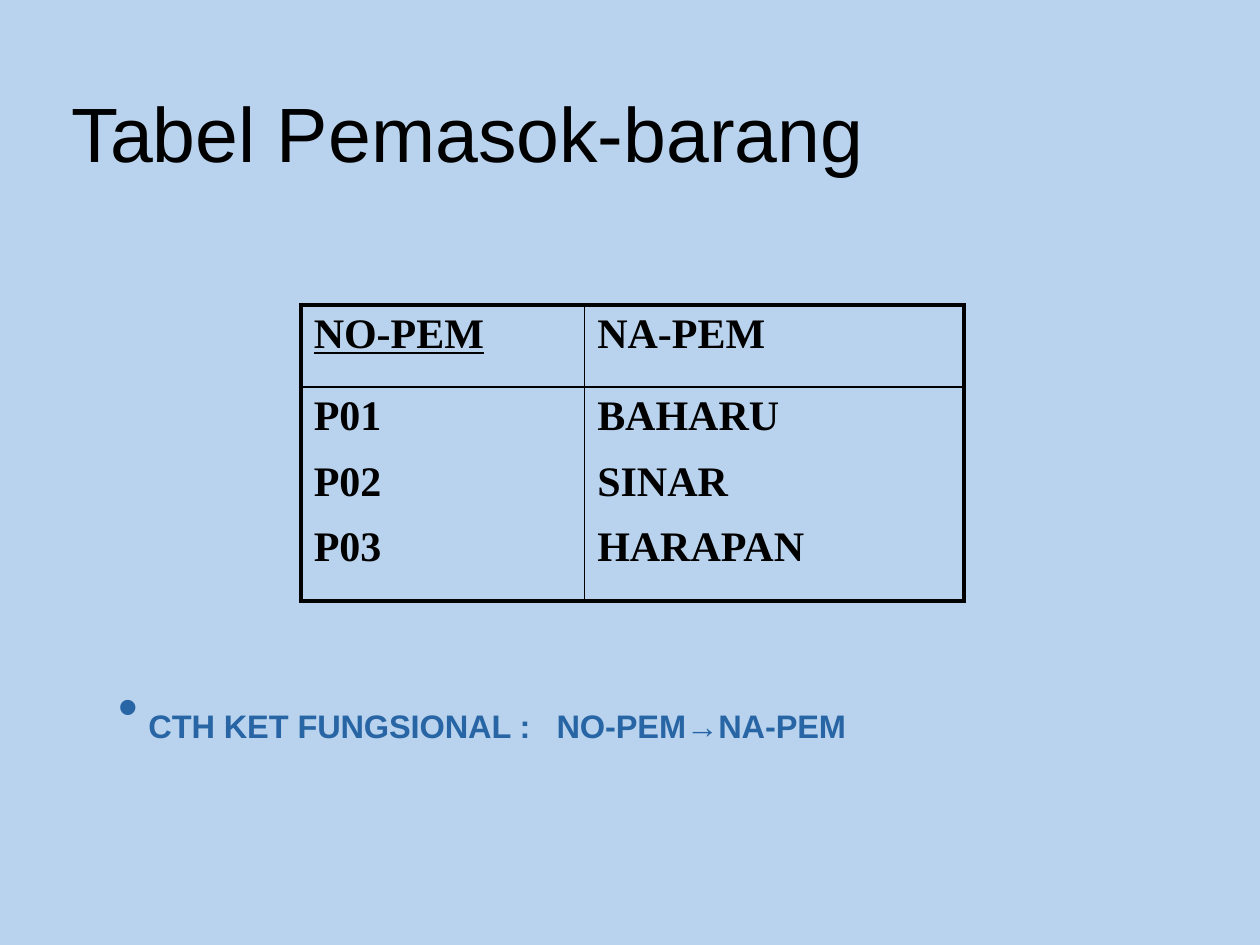
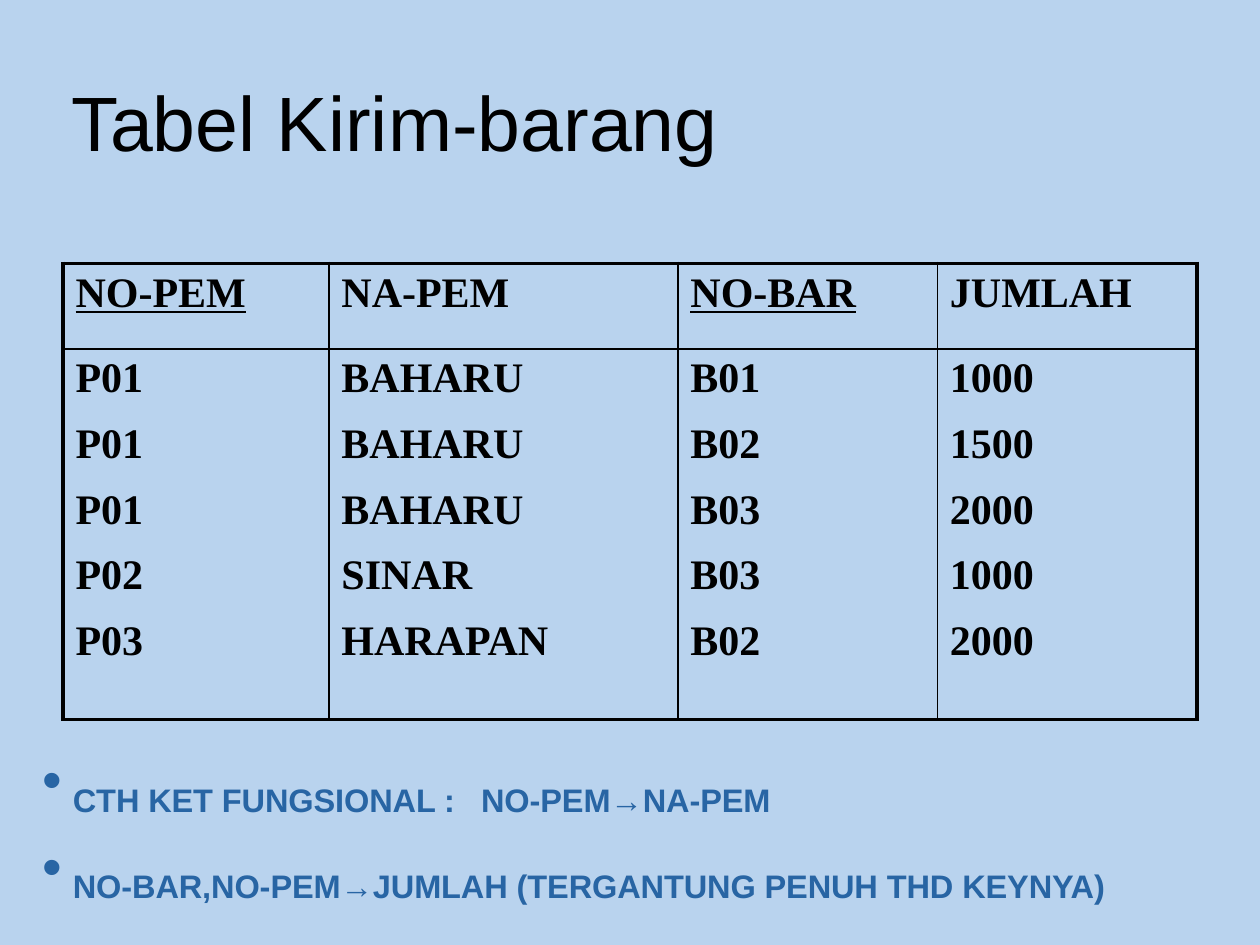
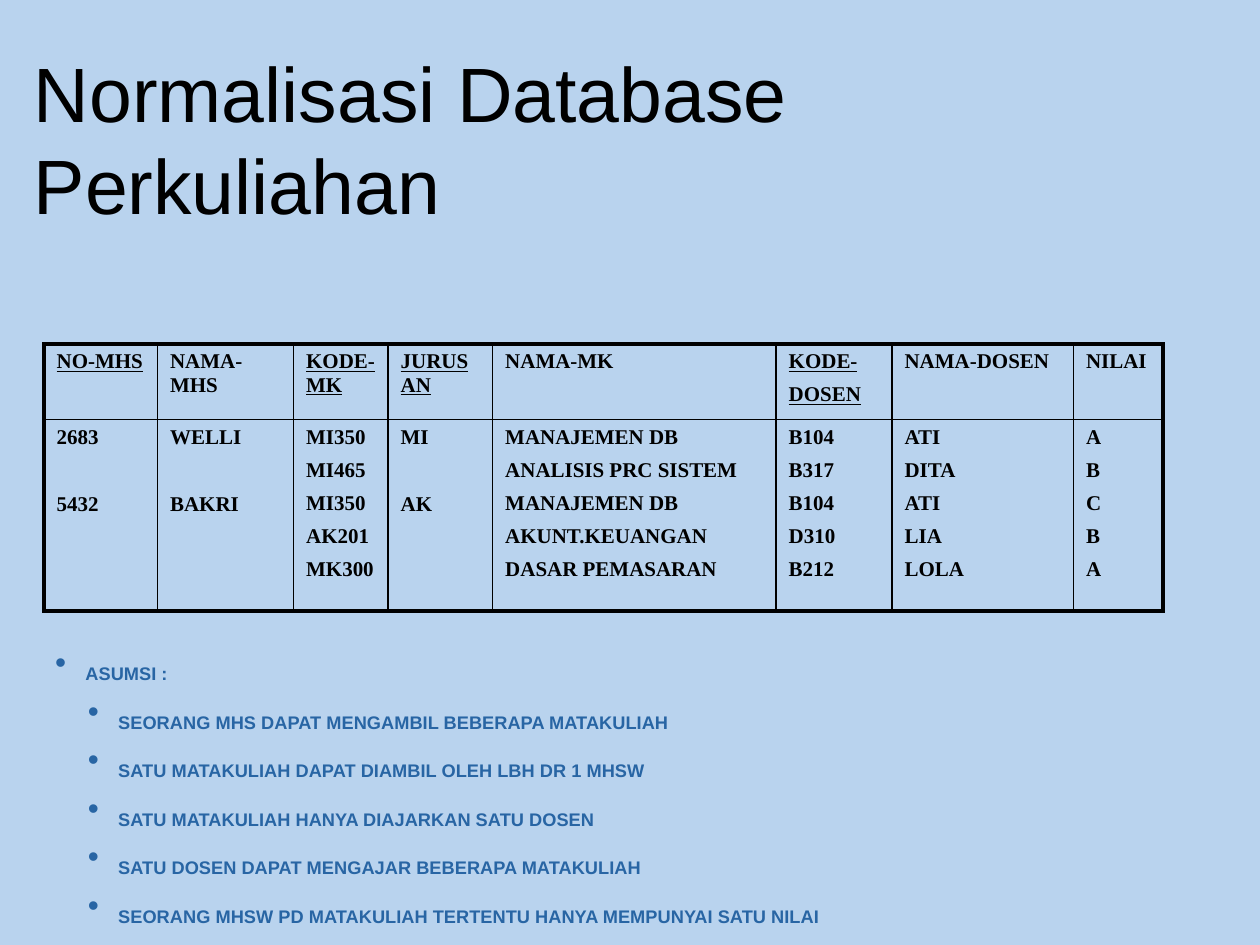
from dataclasses import dataclass

from lxml import etree
from pptx import Presentation
from pptx import util as u
from pptx.dml.color import RGBColor
from pptx.enum import text
from pptx.oxml.ns import qn


@dataclass(frozen=True)
class Theme:
    back: str = "B9D3EE"
    ink: str = "000000"
    accent: str = "2865A4"
    sans: str = "Arial"
    serif: str = "Times New Roman"
    title: int = 44
    note: int = 32
    small_note: int = 18
    cell: int = 24
    small_cell: int = 12
    outer: float = 2.25
    inner: float = 1
    cell_gap: float = 0.46   # space before, as a share of the type size
    note_gap: float = 0.18
    line: float = 1.15
    hang: float = 0.24       # bullet indents and tab, inches
    sub_indent: float = 0.5
    tab: float = 3.48


def sub(parent, tag, **attrs):
    return etree.SubElement(parent, qn(tag), {k: str(v) for k, v in attrs.items()})


class Deck:
    """Style and current slide; lengths are in a grid of 100 columns by 75 rows."""

    def __init__(self, theme):
        self.t = theme
        self.prs = Presentation()
        self.prs.slide_width, self.prs.slide_height = u.Inches(10), u.Inches(7.5)
        self.col = self.prs.slide_width / 100
        self.row = self.prs.slide_height / 75

    def box(self, x, y, w, h):
        return [round(v) for v in (x * self.col, y * self.row, w * self.col, h * self.row)]

    def font(self, p, name, size, color, bold=False, underline=False):
        f = p.font
        f.name, f.size, f.bold, f.underline = name, u.Pt(size), bold, underline
        f.color.rgb = RGBColor.from_string(color)

    def text_frame(self, *area):
        tf = self.s.shapes.add_textbox(*self.box(*area)).text_frame
        tf.word_wrap = True
        return tf

    # Slide with its background and title
    def slide(self, title, x, y, w=90, h=12.5):
        self.s = self.prs.slides.add_slide(self.prs.slide_layouts[6])
        fill = self.s.background.fill
        fill.solid()
        fill.fore_color.rgb = RGBColor.from_string(self.t.back)
        tf = self.text_frame(x, y, w, h)
        tf.vertical_anchor = text.MSO_ANCHOR.MIDDLE
        tf.text = title
        self.font(tf.paragraphs[0], self.t.sans, self.t.title, self.t.ink)

    # Two-row table: headings above, all values of a column in one cell below
    def table(self, x, y, widths, heights, columns, keys, size):
        area = self.box(x, y, sum(widths), sum(heights))
        tbl = self.s.shapes.add_table(2, len(columns), *area).table
        tbl.first_row = tbl.horz_banding = False
        for c, w in zip(tbl.columns, widths):
            c.width = round(w * self.col)
        for r, h in zip(tbl.rows, heights):
            r.height = round(h * self.row)
        last = len(columns) - 1
        for i, (head, values) in enumerate(columns.items()):
            for j, lines in enumerate((head.split("\n"), values)):
                cell = tbl.cell(j, i)
                self.cell_text(cell, lines, size, j == 0 and head in keys)
                self.borders(cell, L=i == 0, R=i == last, T=j == 0, B=j == 1)

    def cell_text(self, cell, lines, size, underline):
        # An empty value widens the space before the next one
        filled = [i for i, line in enumerate(lines) if line]
        cell.text_frame.text = "\n".join(lines[i] for i in filled)
        previous = 0
        for i, p in zip(filled, cell.text_frame.paragraphs):
            steps = i - previous
            if steps:
                gap = steps * self.t.cell_gap + (steps - 1) * self.t.line
                p.space_before = u.Pt(round(gap * size, 1))
            self.font(p, self.t.serif, size, self.t.ink, True, underline)
            previous = i

    def borders(self, cell, **outer_sides):
        tcPr = cell._tc.get_or_add_tcPr()
        for side, outer in outer_sides.items():
            width = u.Pt(self.t.outer if outer else self.t.inner)
            ln = sub(tcPr, f"a:ln{side}", w=int(width))
            sub(sub(ln, "a:solidFill"), "a:srgbClr", val=self.t.ink)
        cell.fill.background()

    # Lowered bullet lines; each is (level, text)
    def notes(self, x, y, w, h, lines, size):
        tf = self.text_frame(x, y, w, h)
        tf.text = "\n".join(line for _, line in lines)
        for i, (p, (level, line)) in enumerate(zip(tf.paragraphs, lines)):
            p.level = level
            if i:
                p.space_before = u.Pt(round(self.t.note_gap * size, 1))
            pPr = p._p.get_or_add_pPr()
            left = self.t.sub_indent if level else self.t.hang
            pPr.set("marL", str(int(u.Inches(left))))
            pPr.set("indent", str(-int(u.Inches(self.t.hang))))
            sub(sub(pPr, "a:buClr"), "a:srgbClr", val=self.t.accent)
            sub(pPr, "a:buFont", typeface=self.t.sans)
            sub(pPr, "a:buChar", char="•")
            if "\t" in line:
                sub(sub(pPr, "a:tabLst"), "a:tab", pos=int(u.Inches(self.t.tab)), algn="l")
            self.font(p, self.t.sans, size, self.t.accent, True)
            for r in p.runs:
                r._r.get_or_add_rPr().set("baseline", "-25000")


def main():
    t = Theme()
    d = Deck(t)
    dependency = (0, "CTH KET FUNGSIONAL :\tNO-PEM→NA-PEM")

    # Suppliers
    d.slide("Tabel Pemasok-barang", 4.7, 4.2)
    d.table(23.9, 24.2, [22.5, 30.1], [6.5, 17], {
        "NO-PEM": ["P01", "P02", "P03"],
        "NA-PEM": ["BAHARU", "SINAR", "HARAPAN"],
    }, {"NO-PEM"}, t.cell)
    d.notes(8.4, 52.6, 67.4, 4.5, [dependency], t.note)

    # Deliveries
    d.slide("Tabel Kirim-barang", 4.7, 3.3)
    d.table(5, 20.9, [21.1, 27.7, 20.6, 20.6], [6.8, 29.4], {
        "NO-PEM": ["P01", "P01", "P01", "P02", "P03"],
        "NA-PEM": ["BAHARU", "BAHARU", "BAHARU", "SINAR", "HARAPAN"],
        "NO-BAR": ["B01", "B02", "B03", "B03", "B02"],
        "JUMLAH": ["1000", "1500", "2000", "1000", "2000"],
    }, {"NO-PEM", "NO-BAR"}, t.cell)
    d.notes(2.4, 58.4, 96.8, 8.7, [
        dependency,
        (0, "NO-BAR,NO-PEM→JUMLAH (TERGANTUNG PENUH THD KEYNYA)"),
    ], t.note)

    # Lectures
    d.slide("Normalisasi Database Perkuliahan", 1.7, 4.7, w=94.7)
    d.table(3.5, 27.3, [9, 10.8, 7.5, 8.3, 22.5, 9.2, 14.4, 7.1], [6, 15.2], {
        "NO-MHS": ["2683", "", "5432"],
        "NAMA-MHS": ["WELLI", "", "BAKRI"],
        "KODE- MK": ["MI350", "MI465", "MI350", "AK201", "MK300"],
        "JURUSAN": ["MI", "", "AK"],
        "NAMA-MK": ["MANAJEMEN DB", "ANALISIS PRC SISTEM", "MANAJEMEN DB",
                    "AKUNT.KEUANGAN", "DASAR PEMASARAN"],
        "KODE-\nDOSEN": ["B104", "B317", "B104", "D310", "B212"],
        "NAMA-DOSEN": ["ATI", "DITA", "ATI", "LIA", "LOLA"],
        "NILAI": ["A", "B", "C", "B", "A"],
    }, {"NO-MHS", "KODE- MK", "JURUSAN", "KODE-\nDOSEN"}, t.small_cell)
    d.notes(3.4, 50.4, 72.6, 15, [
        (0, "ASUMSI :"),
        (1, "SEORANG MHS DAPAT MENGAMBIL BEBERAPA MATAKULIAH"),
        (1, "SATU MATAKULIAH DAPAT DIAMBIL OLEH LBH DR 1 MHSW"),
        (1, "SATU MATAKULIAH HANYA DIAJARKAN SATU DOSEN"),
        (1, "SATU DOSEN DAPAT MENGAJAR BEBERAPA MATAKULIAH"),
        (1, "SEORANG MHSW PD MATAKULIAH TERTENTU HANYA MEMPUNYAI SATU NILAI"),
    ], t.small_note)

    d.prs.save("out.pptx")


if __name__ == "__main__":
    main()
